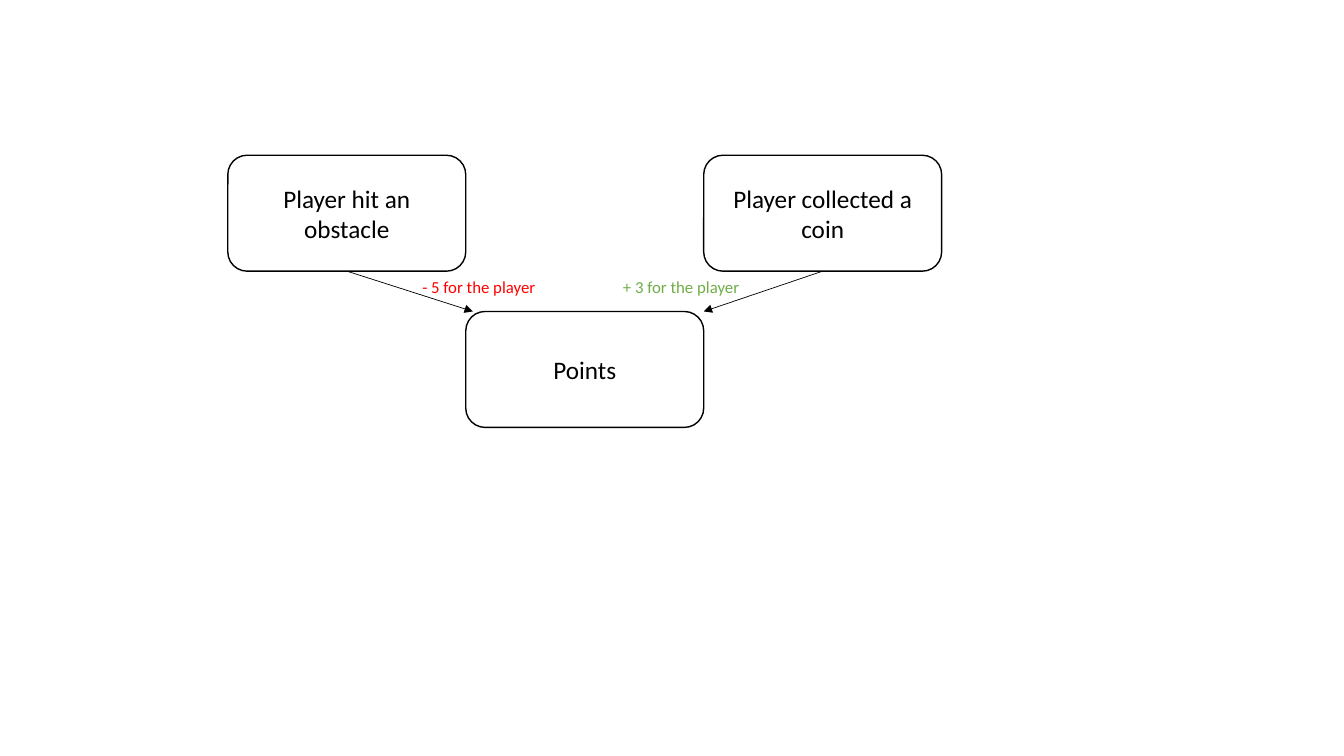
from pptx import Presentation
from pptx.dml.color import RGBColor
from pptx.enum.shapes import MSO_CONNECTOR, MSO_SHAPE
from pptx.enum.text import MSO_ANCHOR, MSO_AUTO_SIZE, PP_ALIGN
from pptx.oxml.ns import qn
from pptx.util import Inches, Pt
from lxml.etree import SubElement

BOX_WIDTH, BOX_HEIGHT = 2.36, 1.15
LEFT, EVENT_TOP, POINTS_TOP = 2.26, 1.54, 3.09
BOTTOM_SIDE = 2


def color(value):
    return RGBColor.from_string(value)


class FlowPage:
    font = "Calibri"
    ink = "000000"
    paper = "FFFFFF"

    def __init__(self, page):
        self.page = page

    def set_text(self, shape, text, size, ink):
        shape.text_frame.text = text
        para = shape.text_frame.paragraphs[0]
        for span in para.runs:
            span.font.name = self.font
            span.font.size = Pt(size)
            span.font.color.rgb = color(ink)
        return para

    def box(self, text, column, top):
        """Add a rounded box; columns are one box width apart."""
        box = self.page.shapes.add_shape(
            MSO_SHAPE.ROUNDED_RECTANGLE, Inches(LEFT + column * BOX_WIDTH),
            Inches(top), Inches(BOX_WIDTH), Inches(BOX_HEIGHT))
        box.shadow.inherit = False
        box.fill.solid()
        box.fill.fore_color.rgb = color(self.paper)
        box.line.color.rgb = color(self.ink)
        box.line.width = Pt(1)
        box.text_frame.vertical_anchor = MSO_ANCHOR.MIDDLE
        self.set_text(box, text, 18, self.ink).alignment = PP_ALIGN.CENTER
        return box

    def arrow(self, source, x, y):
        """Join the bottom of the source box to a point."""
        arrow = self.page.shapes.add_connector(
            MSO_CONNECTOR.STRAIGHT, 0, 0, Inches(x), Inches(y))
        arrow.begin_connect(source, BOTTOM_SIDE)
        arrow.line.color.rgb = color(self.ink)
        arrow.line.width = Pt(0.5)
        properties = arrow.element.spPr
        SubElement(properties.find(qn("a:ln")), qn("a:tailEnd"), type="triangle")
        SubElement(properties, qn("a:effectLst"))

    def label(self, text, left, width, ink):
        label = self.page.shapes.add_textbox(
            Inches(left), Inches(2.7), Inches(width), Inches(0.3))
        self.set_text(label, text, 12, ink)
        label.text_frame.word_wrap = False
        label.text_frame.auto_size = MSO_AUTO_SIZE.SHAPE_TO_FIT_TEXT


def main():
    deck = Presentation()
    deck.slide_width, deck.slide_height = Inches(13.33), Inches(7.5)
    flow = FlowPage(deck.slides.add_slide(deck.slide_layouts[6]))

    flow.box("Points", 1, POINTS_TOP)
    coin = flow.box("Player collected a coin", 2, EVENT_TOP)
    obstacle = flow.box("Player hit an obstacle", 0, EVENT_TOP)
    flow.arrow(obstacle, 4.69, POINTS_TOP)
    flow.arrow(coin, 6.98, POINTS_TOP)
    flow.label("- 5 for the player", 4.09, 1.33, "FF0000")
    flow.label("+ 3 for the player", 6.08, 1.37, "70AD47")

    deck.save("out.pptx")


if __name__ == "__main__":
    main()
